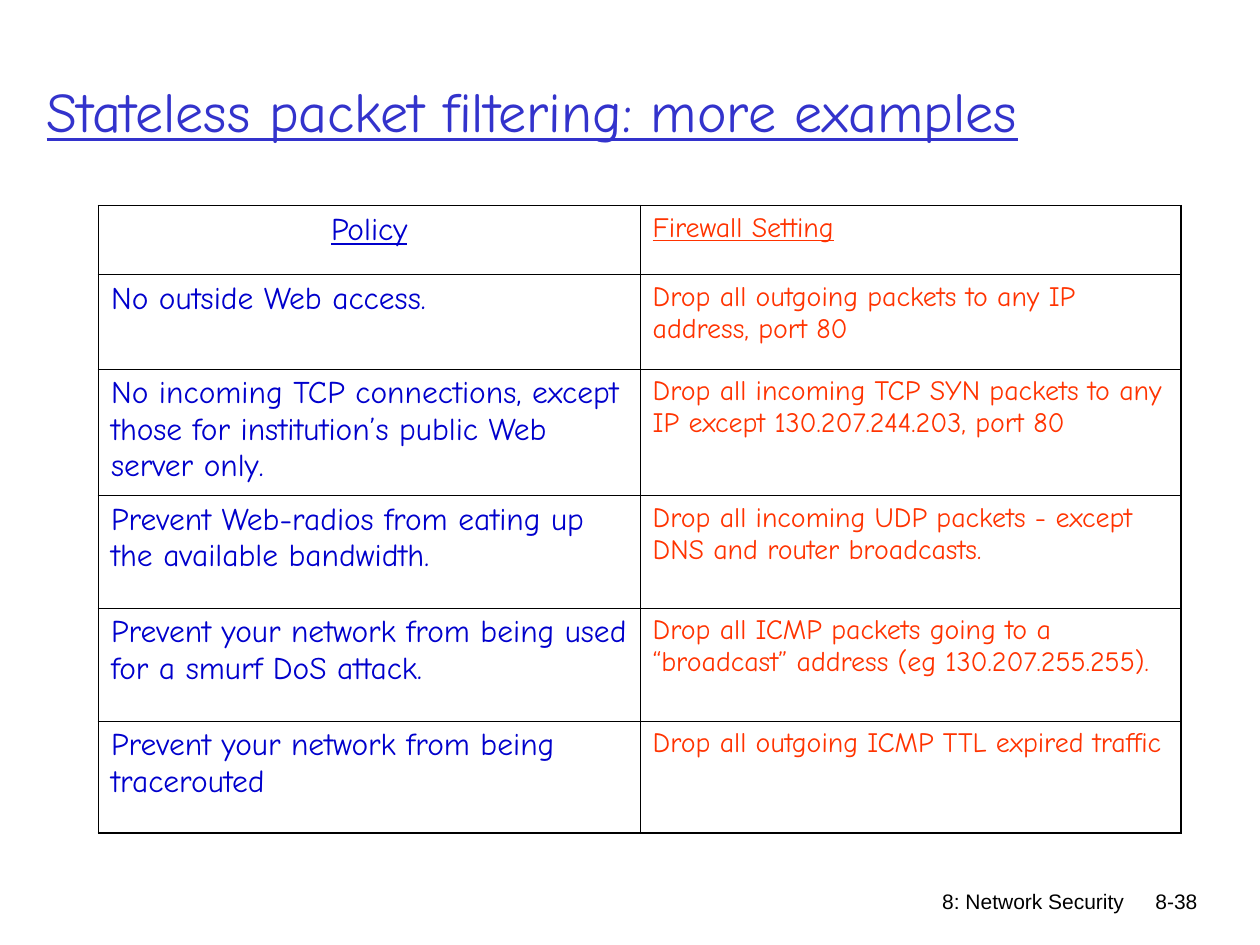
from pptx import Presentation
from pptx.dml.color import RGBColor
from pptx.enum import text
from pptx.oxml import parse_xml
from pptx.oxml.ns import nsdecls
from pptx.util import Pt

TITLE = "Stateless packet filtering: more examples"
HEAD = ("Policy", "Firewall Setting")
RULES = [
    ("No outside Web access.",
     "Drop all outgoing packets to any IP address, port 80"),
    ("No incoming TCP connections, except those for institution’s public Web server only.",
     "Drop all incoming TCP SYN packets to any IP except 130.207.244.203, port 80"),
    ("Prevent Web-radios from eating up the available bandwidth.",
     "Drop all incoming UDP packets - except DNS and router broadcasts."),
    ("Prevent your network from being used for a smurf DoS attack.",
     "Drop all ICMP packets going to a “broadcast” address (eg 130.207.255.255)."),
    ("Prevent your network from being tracerouted",
     "Drop all outgoing ICMP TTL expired traffic"),
]
FOOT = [("8: Network Security", (421, 504, 228.5, 36)),
        ("8-38", (633.5, 504, 57.8, 23))]
HEIGHTS = (39.4, 54, 72.4, 64.2, 64.7, 63.8)
WIDTHS = (309.5, 309)


class Theme:
    body, small = "Comic Neue", "Arial"
    title, policy, setting, black = "3333CC", "0000CC", "FF3300", "000000"
    sizes = {"title": 32, "policy": 18, "setting": 16, "foot": 12}
    outer, inner = 1.08, 0.45


ALIGN = text.PP_ALIGN


def write(frame, words, size, color, face=Theme.body, line=False,
          align=ALIGN.LEFT, anchor=text.MSO_ANCHOR.TOP):
    frame.word_wrap = True
    frame.vertical_anchor = anchor
    para = frame.paragraphs[0]
    para.alignment = align
    run = para.add_run()
    run.text = words
    font = run.font
    font.name, font.size = face, Pt(Theme.sizes[size])
    font.bold, font.underline = False, line
    font.color.rgb = RGBColor.from_string(color)


def border(cell, edges):
    """Draw cell edges; edges maps L, R, T, B to True on the table's rim."""
    props = cell._tc.get_or_add_tcPr()
    for spot, (side, rim) in enumerate(edges.items()):
        width = Pt(Theme.outer if rim else Theme.inner)
        props.insert(spot, parse_xml(
            f'<a:ln{side} {nsdecls("a")} w="{width}"><a:solidFill>'
            f'<a:srgbClr val="{Theme.black}"/></a:solidFill></a:ln{side}>'))


def build():
    deck = Presentation()
    deck.slide_width, deck.slide_height = Pt(720), Pt(540)
    slide = deck.slides.add_slide(deck.slide_layouts[5])

    title = slide.shapes.title
    title.left, title.top, title.width, title.height = map(Pt, (19.5, 18, 659.5, 90))
    title.text_frame.auto_size = text.MSO_AUTO_SIZE.NONE
    write(title.text_frame, TITLE, "title", Theme.title, line=True,
          anchor=text.MSO_ANCHOR.MIDDLE)

    rows = [HEAD] + RULES
    table = slide.shapes.add_table(len(rows), len(HEAD), Pt(56.3), Pt(117.5),
                                   Pt(sum(WIDTHS)), Pt(sum(HEIGHTS))).table
    table.first_row = table.horz_banding = False
    for col, width in zip(table.columns, WIDTHS):
        col.width = Pt(width)
    for r, (pair, height) in enumerate(zip(rows, HEIGHTS)):
        table.rows[r].height = Pt(height)
        for c, words in enumerate(pair):
            cell = table.cell(r, c)
            cell.fill.background()
            kind = ("policy", "setting")[c]
            write(cell.text_frame, words, kind, getattr(Theme, kind), line=r == 0,
                  align=ALIGN.CENTER if r == c == 0 else ALIGN.LEFT)
            border(cell, {"L": c == 0, "R": c == len(HEAD) - 1,
                          "T": r == 0, "B": r == len(rows) - 1})

    for words, place in FOOT:
        box = slide.shapes.add_textbox(*map(Pt, place))
        write(box.text_frame, words, "foot", Theme.black, Theme.small,
              align=ALIGN.RIGHT)
    deck.save("out.pptx")


if __name__ == "__main__":
    build()
